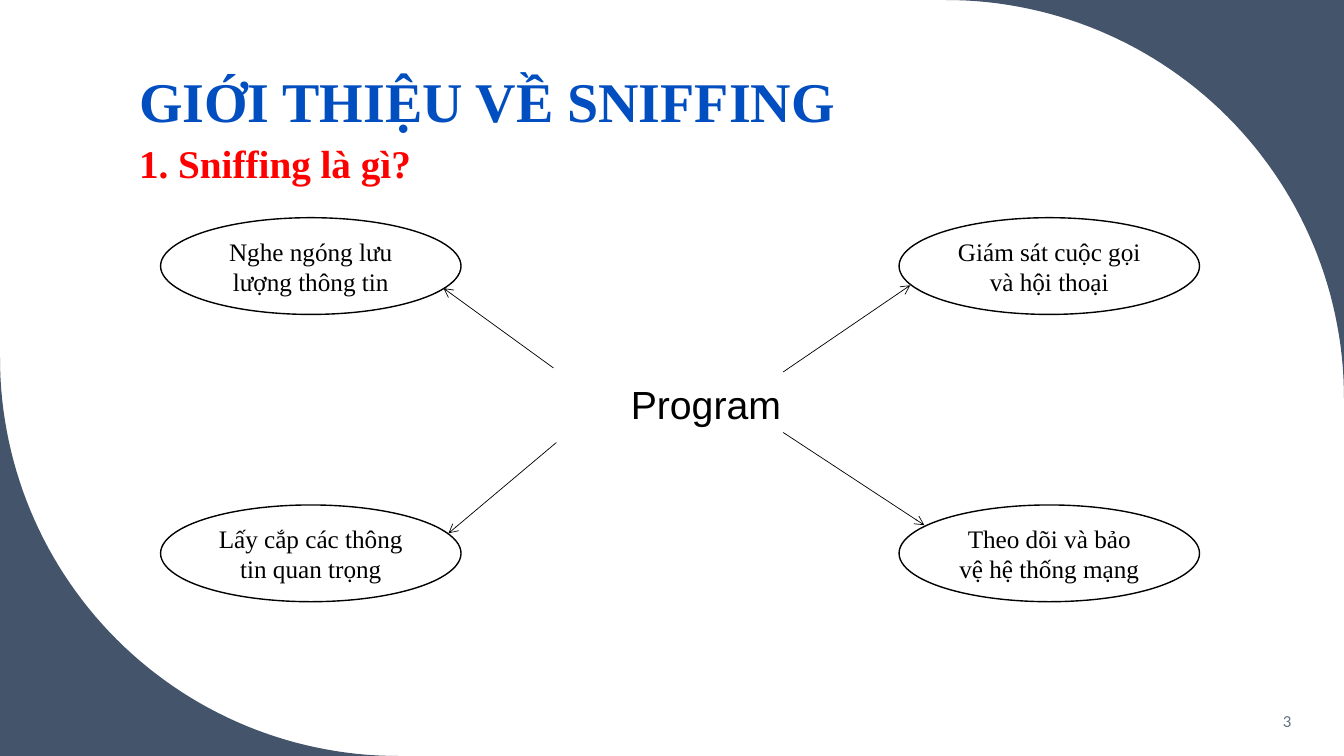
"""Build the slide that introduces sniffing with four goals around a program."""
from math import cos, pi, sin

from lxml import etree
from pptx import Presentation
from pptx import util as u
from pptx.dml.color import RGBColor
from pptx.enum import shapes, text
from pptx.oxml.ns import qn

WIDE, HIGH, ARC = 960, 540, 284.4
SERIF = "Times New Roman"
LEFT, RIGHT = text.PP_ALIGN.LEFT, text.PP_ALIGN.RIGHT
MID = text.PP_ALIGN.CENTER
TOP, BASE = text.MSO_ANCHOR.TOP, text.MSO_ANCHOR.BOTTOM
HALF = text.MSO_ANCHOR.MIDDLE

LABELS = [
    ("GIỚI THIỆU VỀ SNIFFING", (92.2, 30.2, 647.3, 69.8),
     (40, SERIF, "004EBF", True), LEFT, BASE, 0.9),
    ("1. Sniffing là gì?", (92.2, 100, 769.7, 337.7),
     (28, SERIF, "FF0000", True), LEFT, TOP, 0.9),
    ("3", (799.2, 500.4, 130.3, 28.8),
     (12, "Calibri", "637183", False), RIGHT, HALF, 1),
    ("Program", (443.5, 267.8, 133.2, 41),
     (28, "Arial", "000000", False), LEFT, TOP, 1),
]
GOALS = [
    ["Nghe ngóng lưu lượng thông tin", "Giám sát cuộc gọi và hội thoại"],
    ["Lấy cắp các thông tin quan trọng", "Theo dõi và bảo vệ hệ thống mạng"],
]
COLS, ROWS, OVAL = (114.7, 642.2), (155.5, 360.7), (214.6, 69.1)
ARROWS = [
    (395.3, 262.8, 316.8, 205.9),
    (397.4, 316.1, 320.4, 380.9),
    (559.4, 265.7, 650.2, 203.8),
    (559.4, 308.9, 660.2, 375.1),
]


def paint(part, code):
    part.rgb = RGBColor.from_string(code)


def fill(shape, code):
    shape.shadow.inherit = False
    shape.fill.solid()
    paint(shape.fill.fore_color, code)


def write(shape, words, look, align, anchor, space=1):
    size, face, code, bold = look
    frame = shape.text_frame
    frame.text = words
    frame.word_wrap = True
    frame.vertical_anchor = anchor
    para = frame.paragraphs[0]
    para.alignment = align
    para.line_spacing = space
    font = para.runs[0].font
    font.size, font.name, font.bold = u.Pt(size), face, bold
    paint(font.color, code)


def corner(slide, turned):
    spots = [(WIDE, 0)]
    for step in range(61):
        turn = pi / 2 * step / 60
        spots.append((WIDE - ARC + ARC * sin(turn), ARC - ARC * cos(turn)))
    if turned:
        spots = [(WIDE - x, HIGH - y) for x, y in spots]
    spots = [(u.Pt(x), u.Pt(y)) for x, y in spots]
    form = slide.shapes.build_freeform(*spots[0])
    form.add_line_segments(spots[1:], close=True)
    shape = form.convert_to_shape()
    fill(shape, "44546A")
    shape.line.fill.background()


def arrow(slide, ends):
    link = slide.shapes.add_connector(
        shapes.MSO_CONNECTOR.STRAIGHT, *map(u.Pt, ends))
    link.line.width = u.Pt(0.5)
    paint(link.line.color, "000000")
    etree.SubElement(link.line._get_or_add_ln(), qn("a:tailEnd"), type="arrow")
    etree.SubElement(link._element.spPr, qn("a:effectLst"))


def main():
    deck = Presentation()
    deck.slide_width, deck.slide_height = u.Pt(WIDE), u.Pt(HIGH)
    slide = deck.slides.add_slide(deck.slide_layouts[6])
    for turned in (False, True):
        corner(slide, turned)
    for words, box, *style in LABELS:
        write(slide.shapes.add_textbox(*map(u.Pt, box)), words, *style)
    for top, row in zip(ROWS, GOALS):
        for left, goal in zip(COLS, row):
            oval = slide.shapes.add_shape(
                shapes.MSO_SHAPE.OVAL, *map(u.Pt, (left, top, *OVAL)))
            fill(oval, "FFFFFF")
            paint(oval.line.color, "000000")
            oval.line.width = u.Pt(1)
            write(oval, goal, (18, SERIF, "000000", False), MID, HALF)
    for ends in ARROWS:
        arrow(slide, ends)
    deck.save("out.pptx")


if __name__ == "__main__":
    main()
